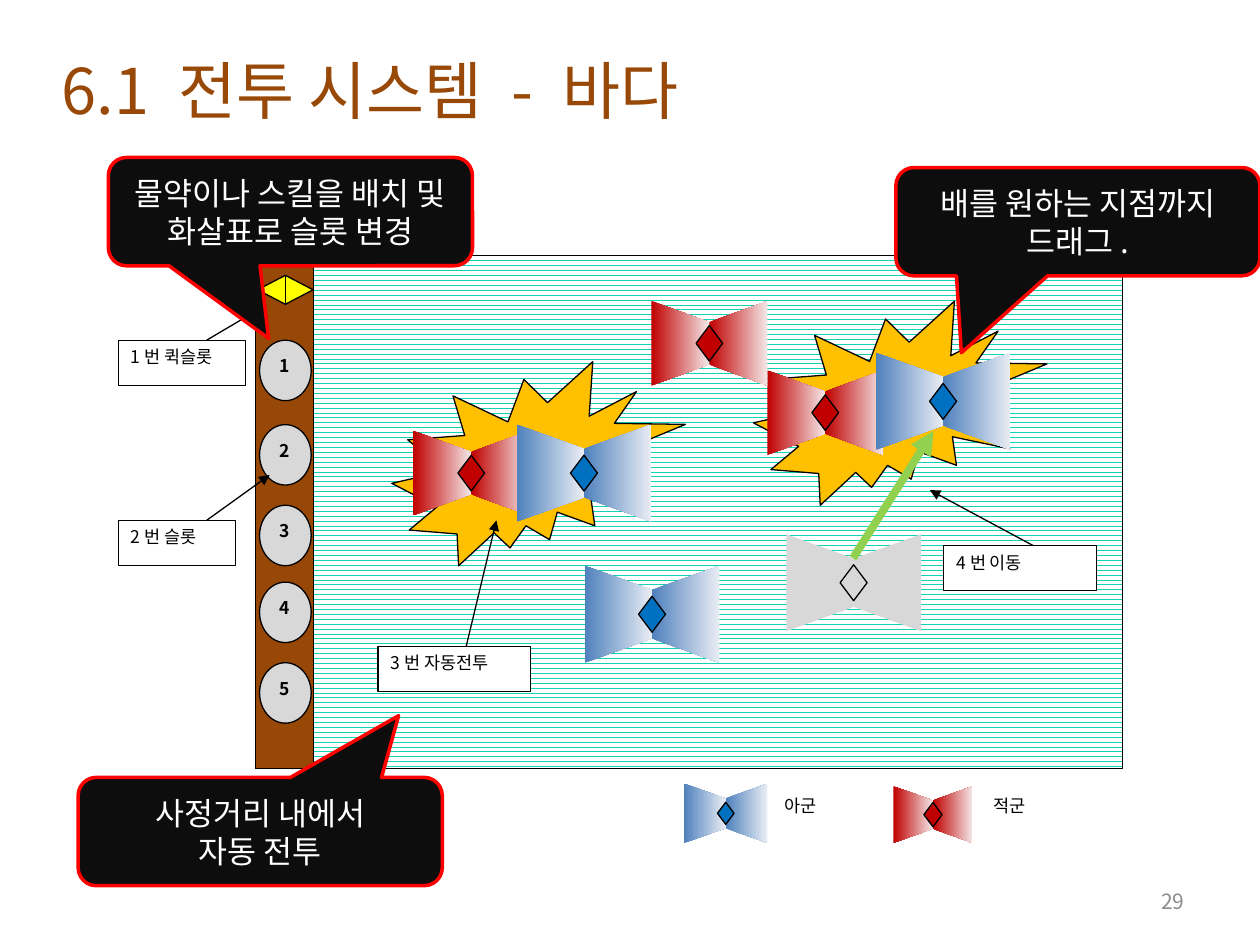
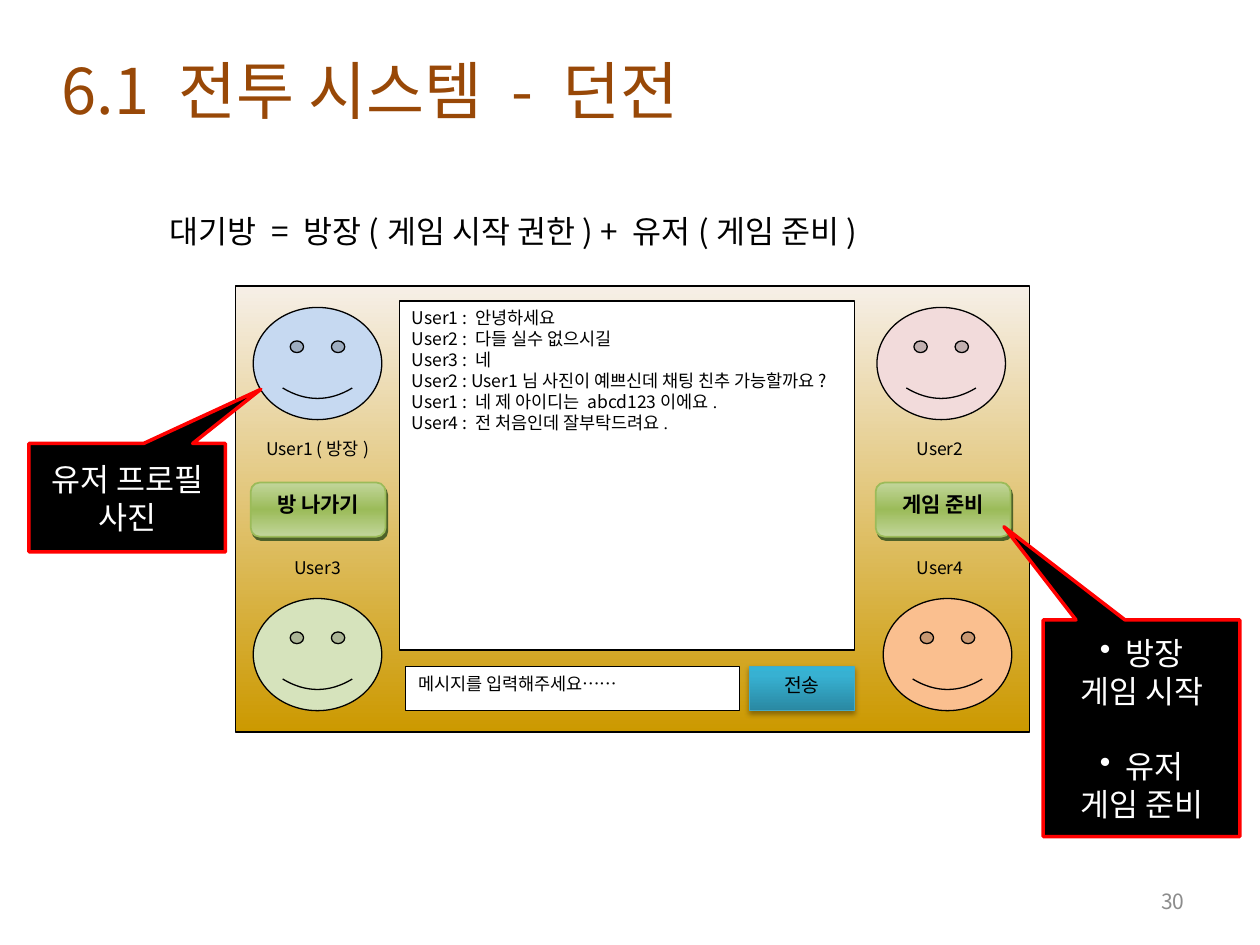
"""Build two slides on a game's battle system: the sea battle and the dungeon waiting room."""
from dataclasses import dataclass
from typing import NamedTuple, Optional, Sequence, Union

from lxml import etree
from pptx import Presentation
from pptx.dml.color import RGBColor
from pptx.enum.dml import MSO_PATTERN
from pptx.enum.shapes import MSO_CONNECTOR, MSO_SHAPE
from pptx.enum.text import MSO_ANCHOR, MSO_AUTO_SIZE, PP_ALIGN
from pptx.oxml.ns import qn
from pptx.shapes.autoshape import Shape
from pptx.slide import Slide
from pptx.text.text import TextFrame
from pptx.util import Inches, Pt

RECTANGLE = MSO_SHAPE.RECTANGLE
ROUNDED = MSO_SHAPE.ROUNDED_RECTANGLE
OVAL = MSO_SHAPE.OVAL
BURST = MSO_SHAPE.EXPLOSION2
DIAMOND = MSO_SHAPE.FLOWCHART_DECISION
SORT = MSO_SHAPE.FLOWCHART_SORT
FACE = MSO_SHAPE.SMILEY_FACE
ROUND_CALLOUT = MSO_SHAPE.ROUNDED_RECTANGULAR_CALLOUT
SQUARE_CALLOUT = MSO_SHAPE.RECTANGULAR_CALLOUT
STRAIGHT = MSO_CONNECTOR.STRAIGHT
WAVE = MSO_PATTERN.WAVE
LEFT, CENTER, RIGHT, JUSTIFY = PP_ALIGN.LEFT, PP_ALIGN.CENTER, PP_ALIGN.RIGHT, PP_ALIGN.JUSTIFY
TOP, MIDDLE = MSO_ANCHOR.TOP, MSO_ANCHOR.MIDDLE
NO_AUTO_SIZE = MSO_AUTO_SIZE.NONE
TITLE_ONLY = 5


class Gradient(NamedTuple):
    stops: tuple[tuple[int, str], ...]
    angle: int


class Shadow(NamedTuple):
    color: str
    opacity: int
    blur: float
    distance: float
    direction: int


class Box(NamedTuple):
    left: float
    top: float
    width: float
    height: float


Fill = Union[str, Gradient, None]


@dataclass(frozen=True)
class Theme:
    font: str = "Noto Sans CJK KR"
    dots_font: str = "Times New Roman"
    title: str = "984807"
    page: str = "8C8C8C"
    black: str = "000000"
    white: str = "FFFFFF"
    gray: str = "D8D8D8"
    wave: str = "12D4B4"
    slot_bar: str = "974706"
    slot_arrow: str = "FFFF00"
    burst: str = "FFC000"
    move: str = "92D050"
    alert: str = "FF0000"
    sea_callout: str = "0D0D0D"
    green_edge: str = "9BBB59"
    send_edge: str = "46AAC5"
    room: Gradient = Gradient(((0, "F6EFE7"), (100, "CC9900")), 90)
    green: Gradient = Gradient(((0, "C2D69B"), (50, "9BBB59"), (100, "C2D69B")), 90)
    send: Gradient = Gradient(((0, "2A88A2"), (80, "37B1D2"), (100, "34B4D6")), 270)
    green_shadow: Shadow = Shadow("4E6128", 100, 0, 2.2, 63)
    send_shadow: Shadow = Shadow("000000", 35, 3.1, 1.8, 90)
    title_size: float = 36
    lead_size: float = 18
    button_size: float = 12
    send_size: float = 11
    small_size: float = 10
    hairline: float = 0.75
    line_height: float = 1.2
    bullet_indent: float = 0.2


THEME = Theme()


class TextStyle(NamedTuple):
    size: float = THEME.small_size
    color: str = THEME.black
    align: PP_ALIGN = JUSTIFY
    anchor: MSO_ANCHOR = TOP
    bold: bool = False
    spacing: float = 1.0


class Run(NamedTuple):
    text: str
    font: str = THEME.font


class Line(NamedTuple):
    runs: tuple[Run, ...]
    bullet: bool = False
    space_before: float = 0


class Fleet(NamedTuple):
    hull: Fill
    emblem: str
    emblem_ratio: float


SMALL = TextStyle()
SLOT = TextStyle(bold=True)
CENTERED = TextStyle(align=CENTER)
SEND = TextStyle(THEME.send_size, align=CENTER)
BUTTON = TextStyle(THEME.button_size, align=CENTER, bold=True)
CALLOUT = TextStyle(THEME.lead_size, THEME.white, CENTER, MIDDLE)
LEAD = TextStyle(THEME.lead_size, align=LEFT, spacing=1.5)
TITLE = TextStyle(THEME.title_size, THEME.title, LEFT)
PAGE = TextStyle(THEME.button_size, THEME.page, RIGHT, MIDDLE)

FRIEND = Fleet(Gradient(((0, "4F81BD"), (100, "E9EDF4")), 0), "0070C0", 0.2)
ENEMY = Fleet(Gradient(((0, "C00000"), (100, "F4E7E7")), 0), "C00000", 0.23)
GHOST = Fleet(THEME.gray, THEME.gray, 0.2)
FRIEND_SIZE, ENEMY_SIZE = (1.07, 0.77), (0.92, 0.67)


def lines(*texts: str) -> list[Line]:
    return [Line((Run(text),)) for text in texts]


def write(frame: TextFrame, content: Sequence[Line], style: TextStyle, wrap: bool = True) -> None:
    frame.word_wrap = wrap
    frame.auto_size = NO_AUTO_SIZE
    frame.vertical_anchor = style.anchor
    for index, line in enumerate(content):
        paragraph = frame.add_paragraph() if index else frame.paragraphs[0]
        paragraph.alignment = style.align
        paragraph.line_spacing = Pt(style.size * THEME.line_height * style.spacing)
        paragraph.space_before = Pt(line.space_before)
        if line.bullet:
            properties = paragraph._p.get_or_add_pPr()
            indent = Inches(THEME.bullet_indent)
            properties.set("marL", str(indent))
            properties.set("indent", str(-indent))
            etree.SubElement(properties, qn("a:buChar"), char="•")
        for text, font in line.runs:
            run = paragraph.add_run()
            run.text = text
            run.font.size = Pt(style.size)
            run.font.bold = style.bold
            run.font.color.rgb = RGBColor.from_string(style.color)
            run.font.name = font
            etree.SubElement(run._r.get_or_add_rPr(), qn("a:ea"), typeface=THEME.font)


def add_text(slide: Slide, box: Box, text: str, style: TextStyle) -> None:
    shape = slide.shapes.add_textbox(*map(Inches, box))
    write(shape.text_frame, lines(text), style)


def add_color(parent: etree._Element, color: str) -> etree._Element:
    return etree.SubElement(parent, qn("a:srgbClr"), val=color)


def paint(shape: Shape, fill: Fill, line: Optional[str], width: float = THEME.hairline) -> None:
    shape.shadow.inherit = False
    if isinstance(fill, Gradient):
        shape.fill.gradient()
        gradient = shape._element.spPr.find(qn("a:gradFill"))
        stop_list = gradient.find(qn("a:gsLst"))
        stop_list.clear()
        for position, color in fill.stops:
            add_color(etree.SubElement(stop_list, qn("a:gs"), pos=str(position * 1000)), color)
        gradient.find(qn("a:lin")).set("ang", str(fill.angle * 60000))
    elif fill:
        shape.fill.solid()
        shape.fill.fore_color.rgb = RGBColor.from_string(fill)
    if line:
        shape.line.color.rgb = RGBColor.from_string(line)
        shape.line.width = Pt(width)
    else:
        shape.line.fill.background()


def add_shape(slide: Slide, kind: MSO_SHAPE, box: Box, fill: Fill, line: Optional[str] = THEME.black,
              width: float = THEME.hairline, content: Sequence[Line] = (), style: TextStyle = SMALL,
              adjustments: Sequence[float] = ()) -> Shape:
    shape = slide.shapes.add_shape(kind, *map(Inches, box))
    paint(shape, fill, line, width)
    for index, value in enumerate(adjustments):
        shape.adjustments[index] = value
    if content:
        write(shape.text_frame, content, style)
    return shape


def add_shadow(shape: Shape, shadow: Shadow) -> None:
    effects = shape._element.spPr.find(qn("a:effectLst"))
    outer = etree.SubElement(effects, qn("a:outerShdw"), blurRad=str(Pt(shadow.blur)),
                             dist=str(Pt(shadow.distance)), dir=str(shadow.direction * 60000))
    etree.SubElement(add_color(outer, shadow.color), qn("a:alpha"), val=str(shadow.opacity * 1000))


def add_callout(slide: Slide, kind: MSO_SHAPE, box: Box, fill: str, content: Sequence[Line],
                pointer: tuple[float, float]) -> None:
    add_shape(slide, kind, box, fill, THEME.alert, 2, content, CALLOUT, pointer)


def add_arrow(slide: Slide, start: tuple[float, float], end: tuple[float, float],
              color: str = THEME.black, width: float = THEME.hairline) -> None:
    arrow = slide.shapes.add_connector(STRAIGHT, *map(Inches, start + end))
    arrow.line.color.rgb = RGBColor.from_string(color)
    arrow.line.width = Pt(width)
    etree.SubElement(arrow.line._get_or_add_ln(), qn("a:tailEnd"), type="triangle")
    etree.SubElement(arrow._element.spPr, qn("a:effectLst"))


def add_ship(slide: Slide, fleet: Fleet, left: float, top: float, size: tuple[float, float]) -> None:
    width, height = size
    middle, center = left + width / 2, top + height / 2
    for edge in (left, left + width):
        points = [(edge, top), (middle, top + height / 4), (middle, top + height * 3 / 4),
                  (edge, top + height)]
        outline = [(Inches(x), Inches(y)) for x, y in points]
        builder = slide.shapes.build_freeform(*outline[0])
        builder.add_line_segments(outline[1:], close=True)
        paint(builder.convert_to_shape(), fleet.hull, None)
    emblem_width = width * fleet.emblem_ratio
    emblem_height = emblem_width * 4 / 3
    add_shape(slide, DIAMOND, Box(middle - emblem_width / 2, center - emblem_height / 2,
                                  emblem_width, emblem_height), fleet.emblem)


def add_slide(presentation: Presentation, title: str, page: int) -> Slide:
    slide = presentation.slides.add_slide(presentation.slide_layouts[TITLE_ONLY])
    heading = slide.shapes.title
    heading.left, heading.top, heading.width, heading.height = map(Inches, (0.39, 0.36, 5.48, 0.71))
    write(heading.text_frame, lines(title), TITLE, wrap=False)
    add_text(slide, Box(7.17, 6.95, 2.33, 0.4), str(page), PAGE)
    return slide


def build_sea_battle(presentation: Presentation) -> None:
    slide = add_slide(presentation, "6.1 전투 시스템 - 바다", 29)
    sea = add_shape(slide, RECTANGLE, Box(2.03, 2.03, 6.88, 4.07), None)
    sea.fill.patterned()
    sea.fill.pattern = WAVE
    sea.fill.fore_color.rgb = RGBColor.from_string(THEME.wave)
    sea.fill.back_color.rgb = RGBColor.from_string(THEME.white)
    for left, top in ((5.98, 2.39), (3.11, 2.87)):
        add_shape(slide, BURST, Box(left, top, 2.33, 1.62), THEME.burst)
    add_ship(slide, GHOST, 6.24, 4.24, FRIEND_SIZE)
    add_arrow(slide, (6.77, 4.43), (7.41, 3.42), THEME.move, 4.5)
    for left, top in ((3.28, 3.42), (6.09, 2.94), (5.17, 2.39)):
        add_ship(slide, ENEMY, left, top, ENEMY_SIZE)
    for left, top in ((4.1, 3.37), (4.64, 4.49), (6.95, 2.8)):
        add_ship(slide, FRIEND, left, top, FRIEND_SIZE)
    add_ship(slide, FRIEND, 5.43, 6.22, (0.66, 0.47))
    add_ship(slide, ENEMY, 7.09, 6.24, (0.63, 0.45))
    for left, name in ((6.13, "아군"), (7.79, "적군")):
        add_shape(slide, RECTANGLE, Box(left, 6.26, 0.67, 0.46), THEME.white, None, content=lines(name))

    add_shape(slide, RECTANGLE, Box(2.03, 2.03, 0.46, 4.07), THEME.slot_bar)
    for number, top in enumerate((2.7, 3.37, 4.01, 4.62, 5.26), start=1):
        add_shape(slide, OVAL, Box(2.06, top, 0.41, 0.48), THEME.gray,
                  content=lines(str(number)), style=SLOT)
    add_shape(slide, SORT, Box(2.15, 2.08, 0.23, 0.44), THEME.slot_arrow).rotation = 270
    for text, left, top, width, start, end in (
            ("1번 퀵슬롯", 0.94, 2.7, 1.01, (1.64, 2.7), (2.03, 2.47)),
            ("2번 슬롯", 0.94, 4.13, 0.93, (1.64, 4.13), (2.14, 3.77)),
            ("3번 자동전투", 3, 5.13, 1.21, (3.7, 5.13), (3.94, 4.13)),
            ("4번 이동", 7.49, 4.33, 1.21, (8.2, 4.33), (7.38, 3.89))):
        add_arrow(slide, start, end)
        add_shape(slide, RECTANGLE, Box(left, top, width, 0.36), THEME.white, content=lines(text))
    for left, top, pointer, content in (
            (0.86, 1.25, (-0.06, 1.17), lines("물약이나 스킬을 배치 및 화살표로 슬롯 변경")),
            (7.11, 1.33, (-0.32, 1.21), lines("배를 원하는 지점까지 드래그.")),
            (0.62, 6.17, (0.38, -1.07), lines("사정거리 내에서", "자동 전투"))):
        add_callout(slide, ROUND_CALLOUT, Box(left, top, 2.89, 0.86), THEME.sea_callout, content, pointer)


def build_waiting_room(presentation: Presentation) -> None:
    slide = add_slide(presentation, "6.1 전투 시스템 - 던전", 30)
    add_text(slide, Box(1.25, 1.48, 7.73, 0.5), "대기방 = 방장(게임 시작 권한) + 유저(게임 준비)", LEAD)
    add_shape(slide, RECTANGLE, Box(1.87, 2.27, 6.3, 3.54), THEME.room)
    for name, face_left, face_top, color, label_left, label_top in (
            ("User1 (방장)", 2.01, 2.44, "C6D9F1", 1.96, 3.43),
            ("User2", 6.96, 2.44, "F2DBDB", 6.9, 3.43),
            ("User3", 2.01, 4.75, "D6E3BC", 1.96, 4.37),
            ("User4", 7.01, 4.75, "FABF8F", 6.9, 4.37)):
        add_shape(slide, FACE, Box(face_left, face_top, 1.02, 0.89), color, adjustments=(0.05,))
        add_text(slide, Box(label_left, label_top, 1.12, 0.38), name, CENTERED)

    dot = Run(".", THEME.dots_font)
    chat = lines("User1 : 안녕하세요", "User2 : 다들 실수 없으시길", "User3 : 네",
                 "User2 : User1님 사진이 예쁘신데 채팅 친추 가능할까요?")
    chat += [Line((Run("User1 : 네 제 아이디는 abcd123이에요"), dot)),
             Line((Run("User4 : 전 처음인데 잘부탁드려요"), dot))]
    add_shape(slide, RECTANGLE, Box(3.17, 2.39, 3.61, 2.77), THEME.white, content=chat)
    prompt = [Line((Run("메시지를 입력해주세요"), Run("……", THEME.dots_font)))]
    add_shape(slide, RECTANGLE, Box(3.22, 5.29, 2.65, 0.35), THEME.white, content=prompt)
    send = add_shape(slide, RECTANGLE, Box(5.95, 5.29, 0.83, 0.35), THEME.send, THEME.send_edge,
                     content=lines("전송"), style=SEND)
    add_shadow(send, THEME.send_shadow)
    for left, text in ((6.95, "게임 준비"), (1.99, "방 나가기")):
        button = add_shape(slide, ROUNDED, Box(left, 3.83, 1.07, 0.43), THEME.green, THEME.green_edge,
                           1, lines(text), BUTTON)
        add_shadow(button, THEME.green_shadow)

    add_callout(slide, SQUARE_CALLOUT, Box(0.23, 3.52, 1.56, 0.86), THEME.black,
                lines("유저 프로필 사진"), (0.68, -1))
    gap = THEME.lead_size * THEME.line_height
    roles = [Line((Run("방장"),), bullet=True), *lines("게임 시작"),
             Line((Run("유저"),), bullet=True, space_before=gap), *lines("게임 준비")]
    add_callout(slide, SQUARE_CALLOUT, Box(8.28, 4.92, 1.56, 1.72), THEME.black, roles, (-0.7, -0.93))


def main() -> None:
    presentation = Presentation()
    presentation.slide_width, presentation.slide_height = Inches(10), Inches(7.5)
    build_sea_battle(presentation)
    build_waiting_room(presentation)
    presentation.save("out.pptx")


if __name__ == "__main__":
    main()
